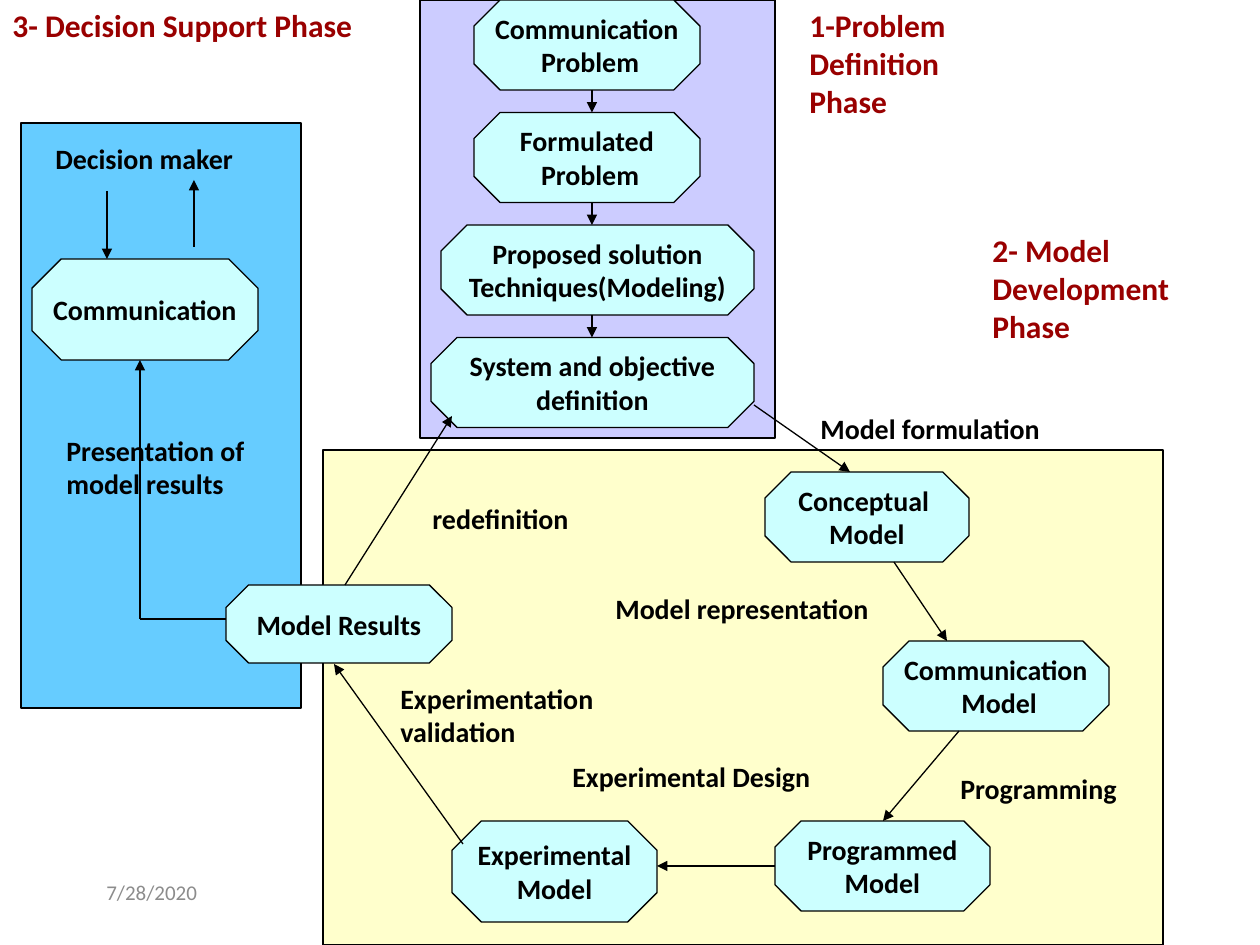
from lxml.etree import SubElement
from pptx import Presentation
from pptx.dml.color import RGBColor
from pptx.enum.shapes import MSO_CONNECTOR, MSO_SHAPE
from pptx.enum.text import MSO_ANCHOR, PP_ALIGN
from pptx.oxml.ns import qn
from pptx.util import Pt

EMU_PER_PX = 914400 / 126


def emu(px):
    return round(px * EMU_PER_PX)


def color(value):
    return RGBColor.from_string(value)


class Diagram:
    font = "Calibri"
    ink = "000000"
    node_fill = "CCFFFF"
    heading_color = "990000"
    line_width = Pt(0.75)

    def __init__(self, slide):
        self.slide = slide

    def style_text(self, frame, text, size, ink, bold=True, align=None):
        frame.text = text
        for paragraph in frame.paragraphs:
            paragraph.alignment = align
            paragraph.font.name = self.font
            paragraph.font.size = Pt(size)
            paragraph.font.bold = bold
            paragraph.font.color.rgb = color(ink)

    def box(self, bounds, fill, kind=MSO_SHAPE.RECTANGLE):
        shape = self.slide.shapes.add_shape(kind, *map(emu, bounds))
        shape.shadow.inherit = False
        shape.fill.solid()
        shape.fill.fore_color.rgb = color(fill)
        shape.line.color.rgb = color(self.ink)
        shape.line.width = self.line_width
        return shape

    def node(self, bounds, text):
        shape = self.box(bounds, self.node_fill, MSO_SHAPE.OCTAGON)
        shape.adjustments[0] = 0.29
        frame = shape.text_frame
        frame.word_wrap = False
        frame.vertical_anchor = MSO_ANCHOR.MIDDLE
        self.style_text(frame, text, 16, self.ink, align=PP_ALIGN.CENTER)

    def line(self, points, arrow=True):
        connector = self.slide.shapes.add_connector(
            MSO_CONNECTOR.STRAIGHT, *map(emu, points))
        connector.line.color.rgb = color(self.ink)
        connector.line.width = self.line_width
        if arrow:
            SubElement(connector.line._get_or_add_ln(), qn("a:tailEnd"), type="triangle")
        SubElement(connector._element.spPr, qn("a:effectLst"))

    def text(self, bounds, text, size, ink, bold=True, anchor=MSO_ANCHOR.TOP):
        frame = self.slide.shapes.add_textbox(*map(emu, bounds)).text_frame
        frame.word_wrap = True
        frame.vertical_anchor = anchor
        self.style_text(frame, text, size, ink, bold)

    def label(self, bounds, text):
        self.text(bounds, text, 16, self.ink)

    def heading(self, bounds, text):
        self.text(bounds, text, 18, self.heading_color)


PHASES = [
    ((21, 123, 280, 585), "66CCFF"),
    ((323, 450, 840, 495), "FFFFCC"),
    ((420, 0, 355, 438), "CCCCFF"),
]

DEFINITION_TOP = 0
DEFINITION_PITCH = 112.5
NODE_HEIGHT = 90
DEFINITION_STEPS = [
    (474, 226, "Communication\n Problem"),
    (474, 226, "Formulated\n Problem"),
    (441, 313, "Proposed solution\nTechniques(Modeling)"),
    (431, 323, "System and objective\ndefinition"),
]

NODES = [
    ((765, 472, 204, NODE_HEIGHT), "Conceptual \nModel"),
    ((883, 641, 226, NODE_HEIGHT), "Communication\n Model"),
    ((32, 259, 226, 101), "Communication"),
    ((226, 585, 226, 78), "Model Results"),
    ((452, 821, 205, 101), "Experimental\nModel"),
    ((775, 821, 215, NODE_HEIGHT), "Programmed\nModel"),
]

ARROWS = [
    (754, 405, 850, 472),
    (894, 562, 947, 641),
    (959, 731, 883, 821),
    (775, 866, 657, 866),
    (463, 844, 334, 664),
    (345, 585, 452, 416),
    (140, 619, 140, 360),
    (194, 247, 194, 180),
    (107, 191, 107, 259),
]

LABELS = [
    ((420, 495, 248, 49), "redefinition"),
    ((388, 675, 237, 81), "Experimentation validation"),
    ((560, 753, 291, 49), "Experimental Design"),
    ((948, 765, 204, 49), "Programming"),
    ((603, 585, 301, 49), "Model representation"),
    ((808, 405, 270, 49), "Model formulation"),
    ((54, 427, 215, 86), "Presentation of model results"),
    ((43, 135, 237, 49), "Decision maker"),
]

HEADINGS = [
    ((797, 0, 237, 175), "1-Problem Definition Phase"),
    ((980, 225, 280, 175), "2- Model Development Phase"),
    ((0, 0, 398, 121), "3- Decision Support Phase"),
]


def main():
    presentation = Presentation()
    presentation.slide_width = emu(1260)
    presentation.slide_height = emu(945)
    slide = presentation.slides.add_slide(presentation.slide_layouts[6])
    diagram = Diagram(slide)

    diagram.text((94, 861, 262, 63), "7/28/2020", 12, "8C8C8C",
                 bold=False, anchor=MSO_ANCHOR.MIDDLE)
    for bounds, fill in PHASES:
        diagram.box(bounds, fill)
    for index, (left, width, text) in enumerate(DEFINITION_STEPS):
        top = DEFINITION_TOP + index * DEFINITION_PITCH
        diagram.node((left, top, width, NODE_HEIGHT), text)
        if index:
            diagram.line((592, top - DEFINITION_PITCH + NODE_HEIGHT, 592, top))
    for bounds, text in NODES:
        diagram.node(bounds, text)
    for points in ARROWS:
        diagram.line(points)
    diagram.line((226, 619, 140, 619), arrow=False)
    for bounds, text in LABELS:
        diagram.label(bounds, text)
    for bounds, text in HEADINGS:
        diagram.heading(bounds, text)

    presentation.save("out.pptx")


if __name__ == "__main__":
    main()
